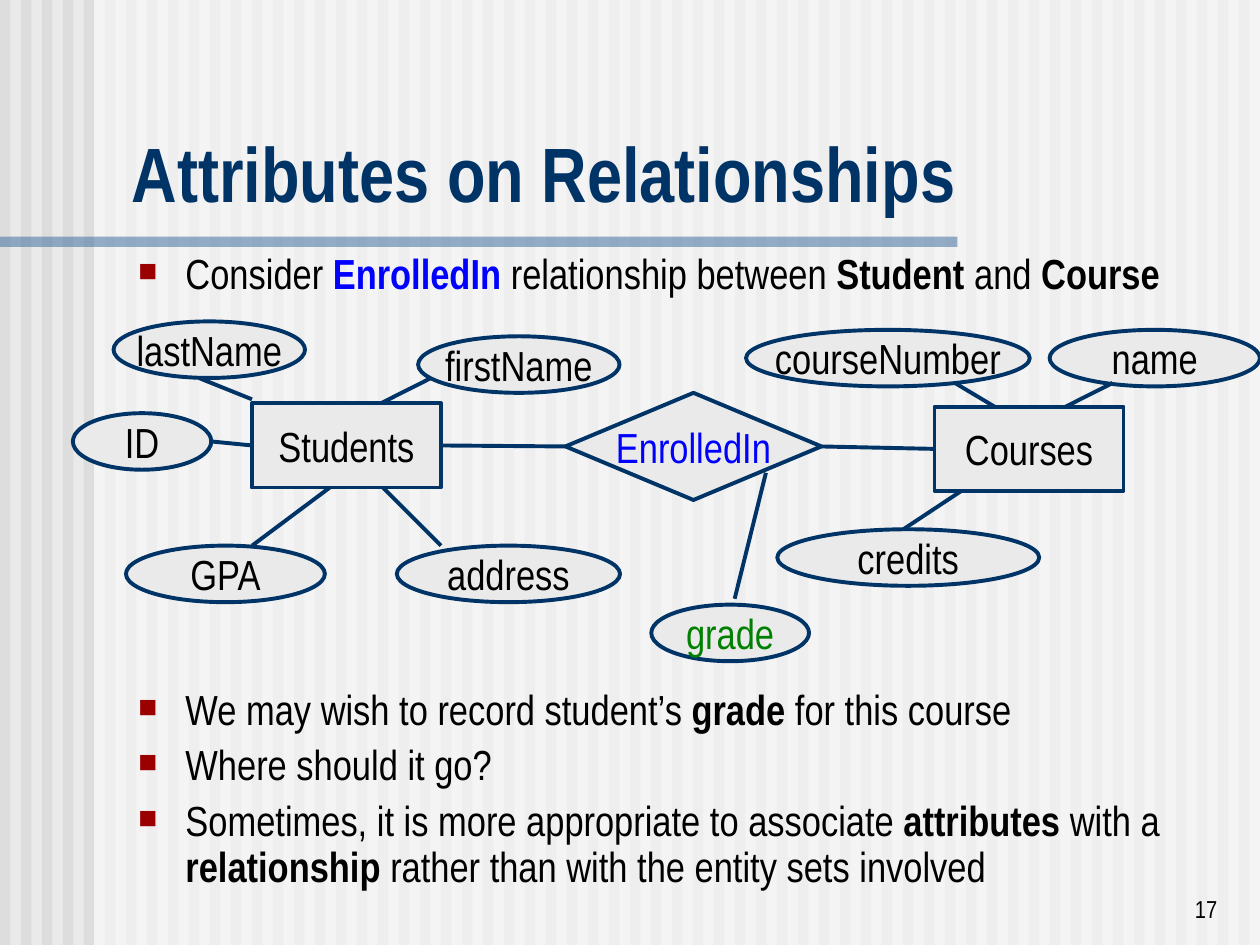
from typing import NamedTuple

from lxml.etree import SubElement
from pptx import Presentation
from pptx.dml.color import RGBColor
from pptx.enum.shapes import MSO_CONNECTOR as Connector, MSO_SHAPE as Shape
from pptx.enum.text import MSO_ANCHOR as Anchor, PP_ALIGN as Align
from pptx.oxml.ns import qn
from pptx.util import Cm, Pt

FONT = "Arial Narrow"
NAVY, GREY, BLACK, BLUE, GREEN = "003366", "EAEAEA", "000000", "0000FF", "008000"
TOP, LEFT, RIGHT = 0, 1, 3
WIDTH, HEIGHT = 25.4, 19.05
STRIPES = 60
STRIPE_PITCH = WIDTH / STRIPES
OVAL_HEIGHT, ENTITY_WIDTH, ENTITY_HEIGHT = 1.14, 3.81, 1.7


class Span(NamedTuple):
    text: str
    bold: bool = False
    color: str = BLACK


class Attribute(NamedTuple):
    name: str
    left: float
    top: float
    width: float
    color: str = BLACK


class Link(NamedTuple):
    x1: float
    y1: float
    x2: float
    y2: float


ATTRIBUTES = [
    Attribute("courseNumber", 15.04, 6.65, 5.72),
    Attribute("name", 21.16, 6.65, 4.24),
    Attribute("credits", 15.67, 10.67, 5.28),
    Attribute("GPA", 2.54, 11, 4.01),
    Attribute("address", 8, 11, 4.5),
    Attribute("ID", 1.47, 8.33, 2.79),
    Attribute("firstName", 8.43, 6.78, 4.06),
    Attribute("lastName", 2.29, 6.48, 3.86),
    Attribute("grade", 13.13, 12.19, 3.18, GREEN),
]
LINKS = [
    Link(19.48, 9.83, 18.21, 10.67),
    Link(19.25, 7.72, 20.32, 8.36),
    Link(22.43, 7.72, 21.16, 8.36),
    Link(5.08, 11, 6.78, 9.73),
    Link(8.89, 11, 7.62, 9.73),
    Link(8.69, 7.62, 7.42, 8.26),
    Link(4.01, 7.62, 5.08, 8.05),
    Link(15.44, 9.53, 14.81, 12.07),
]
INTRO = [[
    Span("Consider "), Span("EnrolledIn ", True, BLUE), Span("relationship between "),
    Span("Student", True), Span(" and "), Span("Course", True),
]]
REMARKS = [
    [Span("We may wish to record student’s "), Span("grade", True), Span(" for this course")],
    [Span("Where should it go?")],
    [Span("Sometimes, it is more appropriate to associate "), Span("attributes", True),
     Span(" with a "), Span("relationship", True),
     Span(" rather than with the entity sets involved")],
]


def paint(target, color: str, alpha: int = 100) -> None:
    target.solid()
    target.fore_color.rgb = RGBColor.from_string(color)
    if alpha < 100:
        value = target.fore_color._xFill.find(qn("a:srgbClr"))
        SubElement(value, qn("a:alpha"), val=str(alpha * 1000))


def style(font, size: int, color: str, bold: bool = False) -> None:
    font.name, font.size, font.bold = FONT, Pt(size), bold
    paint(font.fill, color)


def add_band(page, left: float, top: float, width: float, height: float,
             color: str, alpha: int = 100) -> None:
    band = page.shapes.add_shape(Shape.RECTANGLE, Cm(left), Cm(top), Cm(width), Cm(height))
    band.shadow.inherit = False
    band.line.fill.background()
    paint(band.fill, color, alpha)


def add_node(page, kind, text: str, left: float, top: float, width: float, height: float,
             color: str = BLACK):
    node = page.shapes.add_shape(kind, Cm(left), Cm(top), Cm(width), Cm(height))
    node.shadow.inherit = False
    paint(node.fill, GREY)
    paint(node.line.fill, NAVY)
    node.line.width = Pt(2.25)
    frame = node.text_frame
    frame.text = text
    frame.word_wrap = False
    frame.vertical_anchor = Anchor.MIDDLE
    frame.paragraphs[0].alignment = Align.CENTER
    style(frame.paragraphs[0].runs[0].font, 24, color)
    return node


def add_link(page, link: Link):
    line = page.shapes.add_connector(Connector.STRAIGHT, *(Cm(value) for value in link))
    paint(line.line.fill, NAVY)
    line.line.width = Pt(2.25)
    SubElement(line._element.spPr, qn("a:effectLst"))
    return line


def join(page, start, end) -> None:
    line = add_link(page, Link(0, 0, 1, 1))
    line.begin_connect(start, RIGHT)
    line.end_connect(end, LEFT)


def add_box(page, left: float, top: float, width: float, height: float, anchor=Anchor.TOP):
    box = page.shapes.add_textbox(Cm(left), Cm(top), Cm(width), Cm(height))
    box.text_frame.word_wrap = True
    box.text_frame.vertical_anchor = anchor
    return box.text_frame


def add_label(page, text: str, left: float, top: float, width: float, height: float,
              size: int, color: str, bold: bool, alignment) -> None:
    frame = add_box(page, left, top, width, height, Anchor.BOTTOM)
    frame.text = text
    frame.paragraphs[0].alignment = alignment
    style(frame.paragraphs[0].runs[0].font, size, color, bold)


def add_bullets(frame, items: list[list[Span]], spacing: float) -> None:
    for index, spans in enumerate(items):
        para = frame.add_paragraph() if index else frame.paragraphs[0]
        para.line_spacing = spacing
        para.space_before = Pt(6 if index else 0)
        props = para._p.get_or_add_pPr()
        props.set("marL", str(Cm(0.95)))
        props.set("indent", str(Cm(-0.95)))
        SubElement(SubElement(props, qn("a:buClr")), qn("a:srgbClr"), val="9A0000")
        SubElement(props, qn("a:buSzPct"), val="75000")
        SubElement(props, qn("a:buFont"), typeface=FONT)
        SubElement(props, qn("a:buChar"), char="■")
        for span in spans:
            run = para.add_run()
            run.text = span.text
            style(run.font, 24, span.color, span.bold)


def main() -> None:
    deck = Presentation()
    deck.slide_width, deck.slide_height = Cm(WIDTH), Cm(HEIGHT)
    page = deck.slides.add_slide(deck.slide_layouts[6])
    paint(page.background.fill, GREY)

    for index in range(STRIPES):
        add_band(page, index * STRIPE_PITCH, 0, STRIPE_PITCH / 2, HEIGHT, "DDDDDD")
    add_band(page, 1.9, 0, WIDTH - 1.9, HEIGHT, "FFFFFF", 50)
    add_band(page, 0, 4.77, 19.3, 0.21, "336699", 50)

    add_label(page, "Attributes on Relationships", 2.41, 2.39, 22.68, 2.12,
              44, NAVY, True, Align.LEFT)
    add_bullets(add_box(page, 2.54, 4.87, 22.86, 1.27), INTRO, 1)
    add_bullets(add_box(page, 2.54, 13.76, 22.52, 5.08), REMARKS, 0.9)

    ovals = {
        item.name: add_node(page, Shape.OVAL, item.name, item.left, item.top,
                            item.width, OVAL_HEIGHT, item.color)
        for item in ATTRIBUTES
    }
    for link in LINKS:
        add_link(page, link)
    students = add_node(page, Shape.RECTANGLE, "Students", 5.08, 8.13,
                        ENTITY_WIDTH, ENTITY_HEIGHT)
    courses = add_node(page, Shape.RECTANGLE, "Courses", 18.84, 8.2,
                       ENTITY_WIDTH, ENTITY_HEIGHT)
    enrolled = add_node(page, Shape.DIAMOND, "EnrolledIn", 11.4, 7.92, 5.16, 2.16, BLUE)
    join(page, students, enrolled)
    join(page, enrolled, courses)
    identifier = ovals["ID"]
    middle = (identifier.top + identifier.height / 2) / Cm(1)
    add_link(page, Link(4.26, middle, 5.08, middle)).end_connect(students, LEFT)

    add_label(page, "17", 19.51, 17.48, 5.28, 1.27, 14, BLACK, False, Align.RIGHT)
    deck.save("out.pptx")


if __name__ == "__main__":
    main()
